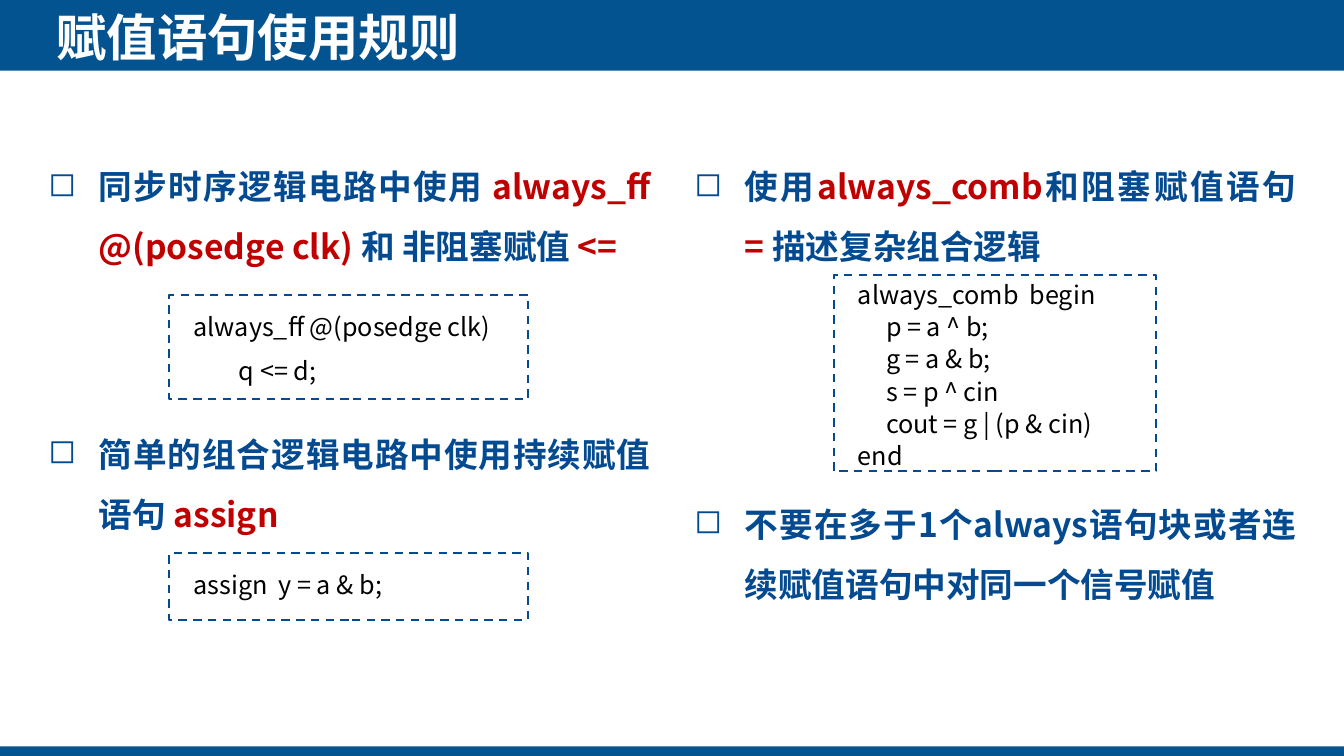
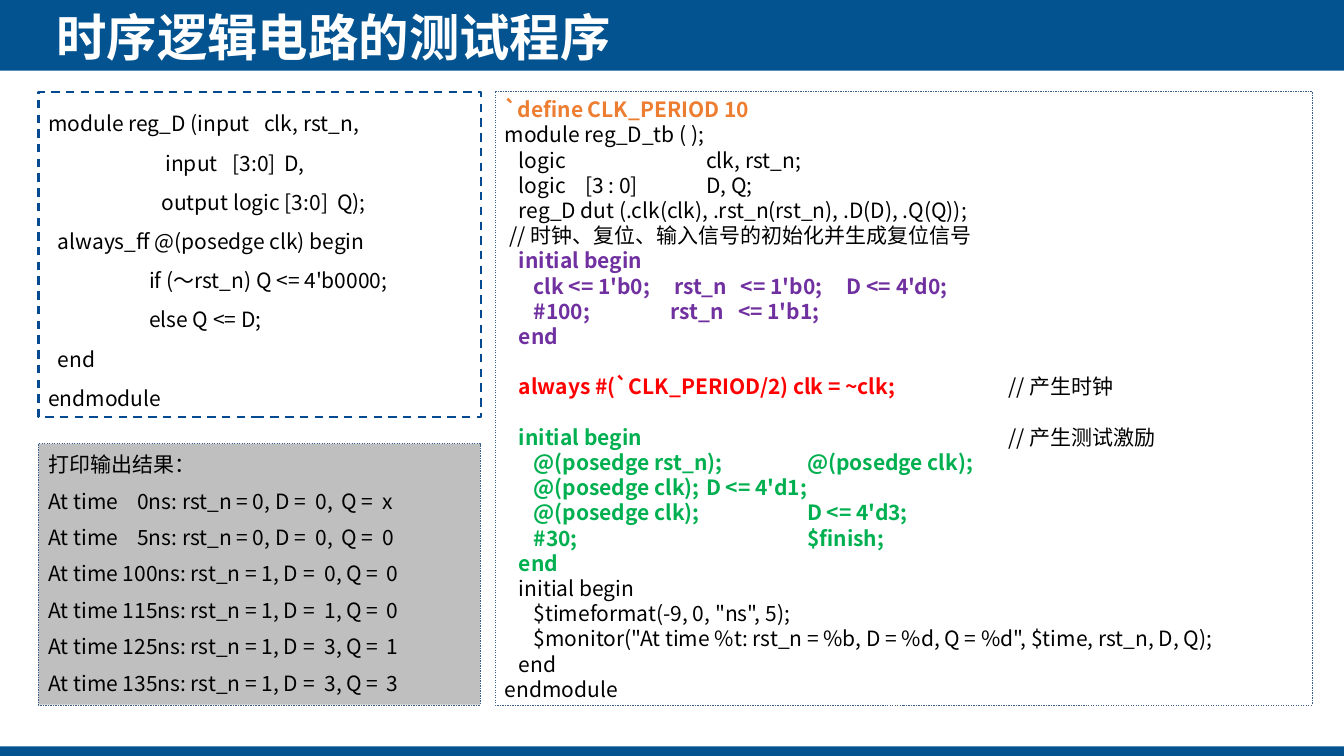
import dataclasses

import lxml.etree
import pptx
import pptx.dml.color
import pptx.enum.dml
import pptx.enum.shapes
import pptx.enum.text
import pptx.oxml.ns
import pptx.presentation
import pptx.shapes.autoshape
import pptx.slide
import pptx.text.text
import pptx.util

Cm = pptx.util.Cm
Pt = pptx.util.Pt
RGBColor = pptx.dml.color.RGBColor
Align = pptx.enum.text.PP_ALIGN

FONT = "Noto Sans CJK SC"
BAND_BLUE = RGBColor(0x03, 0x53, 0x90)
TEXT_BLUE = RGBColor(0x03, 0x4A, 0x90)
THIN_BLUE = RGBColor(0x3A, 0x5F, 0x8C)
KEYWORD_RED = RGBColor(0xC0, 0x00, 0x00)
BLACK = RGBColor(0x00, 0x00, 0x00)
WHITE = RGBColor(0xFF, 0xFF, 0xFF)
GRAY = RGBColor(0xBF, 0xBF, 0xBF)
ORANGE = RGBColor(0xED, 0x7D, 0x31)
PURPLE = RGBColor(0x70, 0x30, 0xA0)
RED = RGBColor(0xFF, 0x00, 0x00)
GREEN = RGBColor(0x00, 0xB0, 0x50)

SLIDE_WIDTH, SLIDE_HEIGHT = 33.87, 19.05
TOP_BAND, BOTTOM_BAND = 1.78, 0.24


@dataclasses.dataclass(frozen=True)
class Run:
    text: str
    color: RGBColor = BLACK
    bold: bool = False


@dataclasses.dataclass(frozen=True)
class Line:
    runs: tuple[Run, ...]
    tabs: tuple[float, ...] = ()
    before: float = 0


@dataclasses.dataclass(frozen=True)
class TextStyle:
    size: float
    spacing: float
    before: float = 0
    after: float = 0


@dataclasses.dataclass(frozen=True)
class Box:
    left: float
    top: float
    width: float
    height: float
    style: TextStyle
    lines: tuple[Line, ...]
    margins: tuple[float, float] = (0.25, 0.13)
    fill: RGBColor | None = None
    border: RGBColor = TEXT_BLUE
    border_width: float = 1.5


@dataclasses.dataclass(frozen=True)
class BulletColumn:
    left: float
    height: float
    lines: tuple[Line, ...]


def code(text: str, *tabs: float, color: RGBColor = BLACK, before: float = 0) -> Line:
    return Line((Run(text, color, color != BLACK),), tabs, before)


def blue(text: str) -> Run:
    return Run(text, TEXT_BLUE, True)


def keyword(text: str) -> Run:
    return Run(text, KEYWORD_RED, True)


BULLET_STYLE = TextStyle(24, 43, after=6)
SNIPPET_STYLE = TextStyle(18, 21.5, before=10)
TIGHT_STYLE = TextStyle(18, 13, before=10)
MODULE_STYLE = TextStyle(15, 28)
OUTPUT_STYLE = TextStyle(15, 20, after=6)
TESTBENCH_STYLE = TextStyle(15, 18)
SNIPPET_MARGINS = (0.61, 0.41)

BULLET_COLUMNS = (
    BulletColumn(0.97, 9.96, (
        Line((blue("同步时序逻辑电路中使用 "), keyword("always_ff @(posedge clk) "),
              blue("和 非阻塞赋值 "), keyword("<="))),
        Line((blue("简单的组合逻辑电路中使用持续赋值语句 "), keyword("assign")), before=99),
    )),
    BulletColumn(17.25, 11.71, (
        Line((blue("使用"), keyword("always_comb"), blue("和阻塞赋值语句 "),
              keyword("= "), blue("描述复杂组合逻辑"))),
        Line((blue("不要在多于1个always语句块或者连续赋值语句中对同一个信号赋值"),), before=149),
    )),
)

SNIPPETS = (
    Box(4.27, 7.44, 9.04, 2.62, SNIPPET_STYLE, (
        code("always_ff @(posedge clk)"),
        code("\tq <= d;", 1.14),
    ), SNIPPET_MARGINS),
    Box(4.27, 13.94, 9.04, 1.68, SNIPPET_STYLE, (
        code("assign\ty = a & b;", 2.14),
    ), SNIPPET_MARGINS),
    Box(21.01, 6.93, 8.13, 4.95, TIGHT_STYLE, (
        code("always_comb\tbegin", 4.33),
        *(code("\t" + statement, 0.71) for statement in (
            "p = a ^ b;", "g = a & b;", "s = p ^ cin", "cout = g | (p & cin)")),
        code("end"),
    ), SNIPPET_MARGINS),
)

EARLY_TABS = (2.24, 6.73, 7.38, 8.42)
LATE_TABS = (6.96, 8.53)
OUTER, INNER = 0.36, 0.73

PROGRAM_BOXES = (
    Box(0.97, 2.31, 11.15, 8.2, MODULE_STYLE, (
        code("module reg_D (input\tclk, rst_n,", 5.44),
        code("\tinput\t[3:0]\tD,", 2.95, 4.64, 5.95),
        code("\toutput logic [3:0]\tQ);", 2.85, 7.28),
        code("\talways_ff @(posedge clk) begin", 0.24),
        code("\tif (～rst_n) Q <= 4'b0000;", 2.54),
        code("\telse Q <= D;", 2.54),
        code("\tend", 0.24),
        code("endmodule"),
    )),
    Box(0.97, 11.18, 11.13, 6.58, OUTPUT_STYLE, (
        code("打印输出结果："),
        *(code(f"At time\t{time}ns: rst_n = 0, D =\t0,\tQ =\t{value}", *EARLY_TABS)
          for time, value in ((0, "x"), (5, "0"))),
        *(code(f"At time {time}ns: rst_n = 1, D =\t{data}, Q =\t{value}", *LATE_TABS)
          for time, data, value in ((100, 0, 0), (115, 1, 0), (125, 3, 1), (135, 3, 3))),
    ), fill=GRAY, border=THIN_BLUE, border_width=0.25),
    Box(12.47, 2.31, 20.6, 15.45, TESTBENCH_STYLE, (
        code("`define CLK_PERIOD 10", color=ORANGE),
        code("module reg_D_tb ( );"),
        code("\tlogic\tclk, rst_n;", OUTER, 5.08),
        code("\tlogic\t[3 : 0]\tD, Q;", OUTER, 2.03, 5.08),
        code("\treg_D dut (.clk(clk), .rst_n(rst_n), .D(D), .Q(Q));", OUTER),
        code("\t// 时钟、复位、输入信号的初始化并生成复位信号", 0.12),
        code("\tinitial begin", OUTER, color=PURPLE),
        code("\tclk <= 1'b0;\trst_n\t<= 1'b0;\tD <= 4'd0;",
             INNER, 4.27, 5.95, 8.62, color=PURPLE),
        code("\t#100;\trst_n\t<= 1'b1;", INNER, 4.18, 5.88, color=PURPLE),
        code("\tend", OUTER, color=PURPLE),
        Line((Run("\talways #(`CLK_PERIOD/2) clk = ~clk;", RED, True),
              Run("\t// 产生时钟")), (OUTER, 12.7), before=18),
        Line((Run("\tinitial begin", GREEN, True),
              Run("\t// 产生测试激励")), (OUTER, 12.7), before=18),
        code("\t@(posedge rst_n);\t@(posedge clk);", INNER, 7.62, color=GREEN),
        code("\t@(posedge clk);\tD <= 4'd1;", INNER, 5.08, color=GREEN),
        code("\t@(posedge clk);\tD <= 4'd3;", INNER, 7.62, color=GREEN),
        code("\t#30;\t$finish;", INNER, 7.62, color=GREEN),
        code("\tend", OUTER, color=GREEN),
        code("\tinitial begin", OUTER),
        code('\t$timeformat(-9, 0, "ns", 5);', INNER),
        code('\t$monitor("At time %t: rst_n = %b, D = %d, Q = %d", $time, rst_n, D, Q);', INNER),
        code("\tend", OUTER),
        code("endmodule"),
    ), border=THIN_BLUE, border_width=0.25),
)


def add_child(parent: lxml.etree._Element, tag: str, **attributes: str) -> lxml.etree._Element:
    return lxml.etree.SubElement(parent, pptx.oxml.ns.qn(tag), attributes)


def add_run(paragraph: pptx.text.text._Paragraph, run: Run, size: float) -> None:
    text_run = paragraph.add_run()
    text_run.text = run.text
    font = text_run.font
    font.size = Pt(size)
    font.bold = run.bold
    font.color.rgb = run.color
    font.name = FONT
    add_child(text_run._r.get_or_add_rPr(), "a:ea", typeface=FONT)


def add_tabs(paragraph: pptx.text.text._Paragraph, tabs: tuple[float, ...]) -> None:
    tab_list = add_child(paragraph._p.get_or_add_pPr(), "a:tabLst")
    for position in tabs:
        add_child(tab_list, "a:tab", pos=str(Cm(position)), algn="l")


def add_bullet(paragraph: pptx.text.text._Paragraph) -> None:
    properties = paragraph._p.get_or_add_pPr()
    properties.set("marL", str(Cm(1.27)))
    properties.set("indent", str(Cm(-1.27)))
    add_child(add_child(properties, "a:buClr"), "a:srgbClr", val=str(TEXT_BLUE))
    add_child(properties, "a:buChar", char="◻")


def write_lines(frame: pptx.text.text.TextFrame, lines: tuple[Line, ...],
                style: TextStyle, bulleted: bool = False) -> None:
    frame.word_wrap = True
    frame.vertical_anchor = pptx.enum.text.MSO_ANCHOR.TOP
    for index, line in enumerate(lines):
        paragraph = frame.add_paragraph() if index else frame.paragraphs[0]
        paragraph.alignment = Align.JUSTIFY if bulleted else Align.LEFT
        paragraph.line_spacing = Pt(style.spacing)
        paragraph.space_before = Pt((style.before if index else 0) + line.before)
        paragraph.space_after = Pt(style.after)
        if bulleted:
            add_bullet(paragraph)
        if line.tabs:
            add_tabs(paragraph, line.tabs)
        for run in line.runs:
            add_run(paragraph, run, style.size)


def add_rectangle(slide: pptx.slide.Slide, left: float, top: float, width: float,
                  height: float, fill: RGBColor | None) -> pptx.shapes.autoshape.Shape:
    shape = slide.shapes.add_shape(pptx.enum.shapes.MSO_SHAPE.RECTANGLE,
                                   Cm(left), Cm(top), Cm(width), Cm(height))
    shape.shadow.inherit = False
    if fill is None:
        shape.fill.background()
    else:
        shape.fill.solid()
        shape.fill.fore_color.rgb = fill
    return shape


def add_box(slide: pptx.slide.Slide, box: Box) -> None:
    shape = add_rectangle(slide, box.left, box.top, box.width, box.height, box.fill)
    shape.line.color.rgb = box.border
    shape.line.width = Pt(box.border_width)
    shape.line.dash_style = pptx.enum.dml.MSO_LINE.DASH
    frame = shape.text_frame
    frame.margin_left = frame.margin_right = Cm(box.margins[0])
    frame.margin_top = frame.margin_bottom = Cm(box.margins[1])
    write_lines(frame, box.lines, box.style)


def add_bullet_column(slide: pptx.slide.Slide, column: BulletColumn) -> None:
    shape = slide.shapes.add_textbox(Cm(column.left), Cm(3.56), Cm(15.67), Cm(column.height))
    write_lines(shape.text_frame, column.lines, BULLET_STYLE, bulleted=True)


def move_bands_to_layout(slide: pptx.slide.Slide) -> None:
    for top, height in ((0, TOP_BAND), (SLIDE_HEIGHT - BOTTOM_BAND, BOTTOM_BAND)):
        band = add_rectangle(slide, 0, top, SLIDE_WIDTH, height, BAND_BLUE)
        band.line.fill.background()
        slide.slide_layout.shapes.element.insert(2, band.element)


def add_titled_slide(presentation: pptx.presentation.Presentation, text: str) -> pptx.slide.Slide:
    slide = presentation.slides.add_slide(presentation.slide_layouts[5])
    title = slide.shapes.title
    title.left, title.top, title.width, title.height = Cm(1.42), Cm(0.13), Cm(21.77), Cm(1.55)
    frame = title.text_frame
    frame.auto_size = pptx.enum.text.MSO_AUTO_SIZE.NONE
    frame.vertical_anchor = pptx.enum.text.MSO_ANCHOR.MIDDLE
    frame.margin_left = frame.margin_right = frame.margin_top = frame.margin_bottom = Cm(0)
    paragraph = frame.paragraphs[0]
    paragraph.alignment = Align.LEFT
    add_run(paragraph, Run(text, WHITE, True), 36)
    return slide


def main() -> None:
    presentation = pptx.Presentation()
    presentation.slide_width = Cm(SLIDE_WIDTH)
    presentation.slide_height = Cm(SLIDE_HEIGHT)

    rules_slide = add_titled_slide(presentation, "赋值语句使用规则")
    move_bands_to_layout(rules_slide)
    for column in BULLET_COLUMNS:
        add_bullet_column(rules_slide, column)
    for snippet in SNIPPETS:
        add_box(rules_slide, snippet)

    program_slide = add_titled_slide(presentation, "时序逻辑电路的测试程序")
    for box in PROGRAM_BOXES:
        add_box(program_slide, box)

    presentation.save("out.pptx")


if __name__ == "__main__":
    main()
